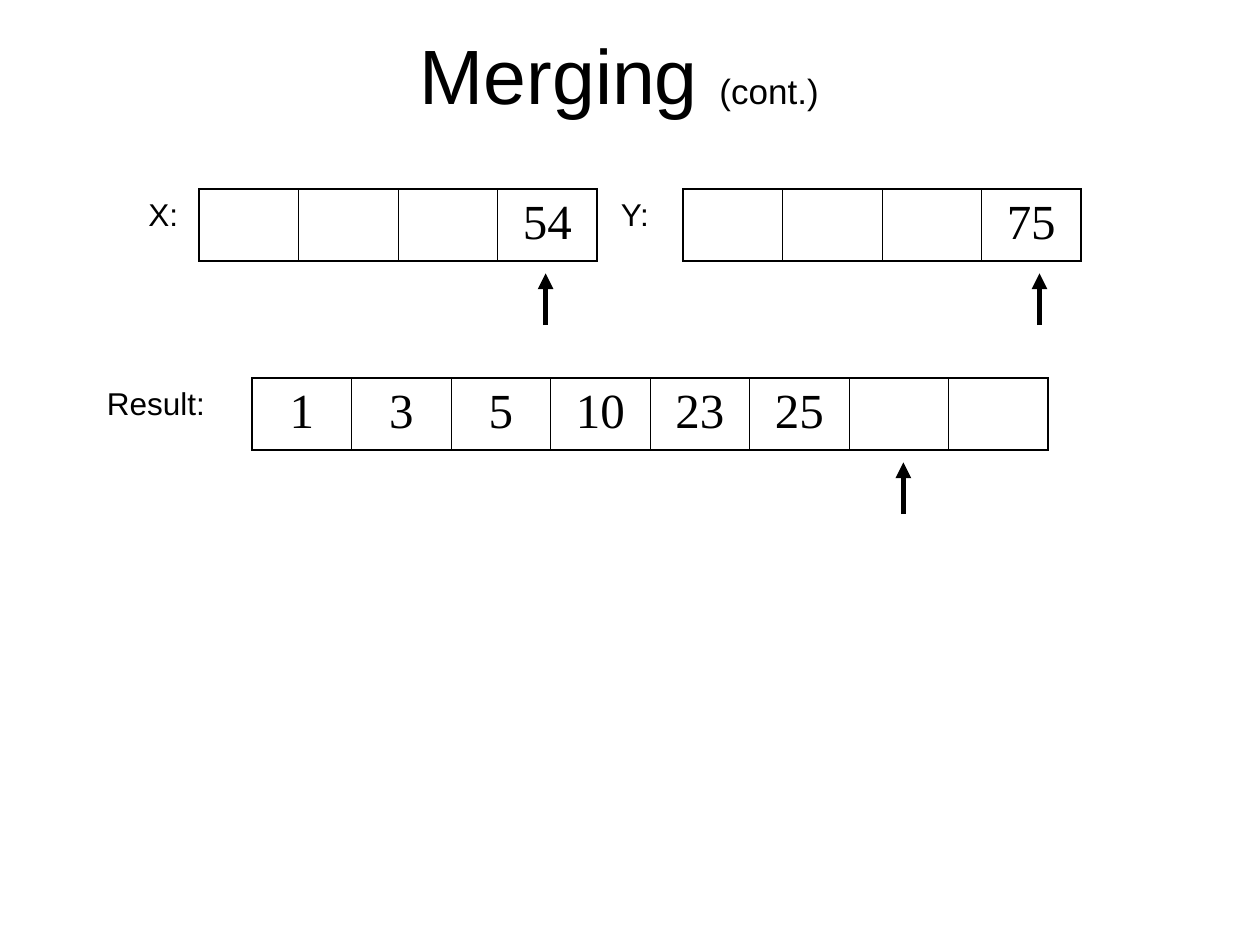
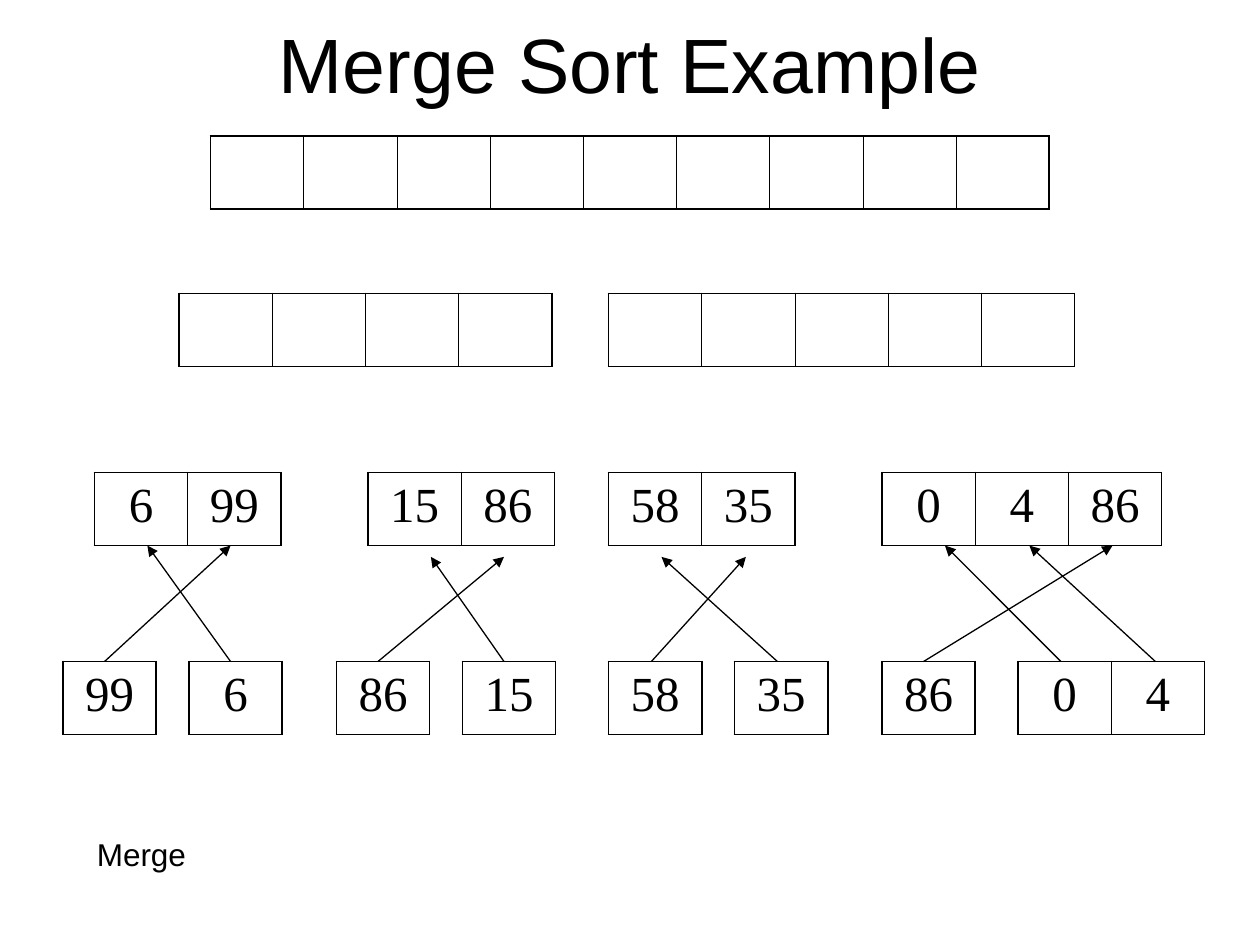
from lxml.etree import SubElement
from pptx import Presentation
from pptx.dml.color import RGBColor
from pptx.enum.shapes import MSO_CONNECTOR
from pptx.enum.text import MSO_ANCHOR, MSO_AUTO_SIZE, PP_ALIGN
from pptx.oxml.ns import qn
from pptx.util import Inches, Pt

INK = "000000"
LABEL_FONT, NUMBER_FONT = "Arial", "Times New Roman"
OUTER_LINE, INNER_LINE = 1.08, 0.45
TITLE_ONLY = 5

# Arrays: left, top, values. Labels: text, left, top, width.
# Arrows: start and end points in inches.
MERGING = {
    "title": [("Merging ", 44), ("(cont.)", 20), (" ", 44)],
    "title_box": (0.75, 0.17, 8.5, 0.83),
    "cell": (0.79, 0.57),
    "arrays": [
        (1.58, 1.5, ["", "", "", "54"]),
        (5.42, 1.5, ["", "", "", "75"]),
        (2, 3, ["1", "3", "5", "10", "23", "25", "", ""]),
    ],
    "labels": [("X:", 1.08, 1.5, 0.58), ("Y:", 4.83, 1.5, 0.58), ("Result:", 0.75, 3, 1.17)],
    "arrow_width": 3,
    "arrows": [((x, y + 0.41), (x, y)) for x, y in [(4.33, 2.17), (8.25, 2.17), (7.17, 3.67)]],
}

SINGLES_TOP, PAIRS_TOP = 5.25, 3.75
# Each merge: height of the arrow tips, then (start x, end x) of its arrows.
MERGES = [
    (4.33, [(0.83, 1.83), (1.83, 1.17)]),
    (4.42, [(3, 4), (4, 3.42)]),
    (4.42, [(5.17, 5.92), (6.17, 5.25)]),
    (4.33, [(7.33, 8.83), (8.42, 7.5), (9.17, 8.17)]),
]
PAIRS = [(0.75, ["6", "99"]), (2.92, ["15", "86"]), (4.83, ["58", "35"]), (7, ["0", "4", "86"])]
SINGLES = [
    (0.5, ["99"]), (1.5, ["6"]), (2.67, ["86"]), (3.67, ["15"]),
    (4.83, ["58"]), (5.83, ["35"]), (7, ["86"]), (8.08, ["0", "4"]),
]

SORT_EXAMPLE = {
    "title": [("Merge Sort Example", 44)],
    "title_box": (0.75, 0, 8.5, 1),
    "cell": (0.74, 0.58),
    "arrays": [
        (1.67, 1.08, [""] * 9),
        (1.42, 2.33, [""] * 4),
        (4.83, 2.33, [""] * 5),
        *[(left, PAIRS_TOP, values) for left, values in PAIRS],
        *[(left, SINGLES_TOP, values) for left, values in SINGLES],
    ],
    "labels": [("Merge", 0.67, 6.58, 5.08)],
    "arrow_width": 0.75,
    "arrows": [((start, SINGLES_TOP), (end, tip)) for tip, pairs in MERGES for start, end in pairs],
}


def color(value):
    return RGBColor.from_string(value)


def add_text(para, text, size=18, font=LABEL_FONT, align=PP_ALIGN.LEFT):
    para.alignment = align
    span = para.add_run()
    span.text = text
    span.font.size = Pt(size)
    span.font.name = font
    span.font.color.rgb = color(INK)


def set_title(page, spans, box):
    title = page.shapes.title
    title.left, title.top, title.width, title.height = map(Inches, box)
    frame = title.text_frame
    frame.auto_size = MSO_AUTO_SIZE.NONE
    frame.vertical_anchor = MSO_ANCHOR.MIDDLE
    for text, size in spans:
        add_text(frame.paragraphs[0], text, size=size, align=PP_ALIGN.CENTER)


def add_border(cell, side, width):
    properties = cell._tc.get_or_add_tcPr()
    line = SubElement(properties, qn(f"a:ln{side}"), w=str(Pt(width)))
    fill = SubElement(line, qn("a:solidFill"))
    SubElement(fill, qn("a:srgbClr"), val=INK)


def add_array(page, left, top, values, cell_size):
    """Draw a one-row table with a heavier outline than its inner lines."""
    width, height = cell_size
    count = len(values)
    frame = page.shapes.add_table(
        1, count, Inches(left), Inches(top), Inches(width * count), Inches(height))
    table = frame.table
    table.first_row = table.horz_banding = False
    for index, value in enumerate(values):
        table.columns[index].width = Inches(width)
        cell = table.cell(0, index)
        add_border(cell, "L", OUTER_LINE if index == 0 else INNER_LINE)
        add_border(cell, "R", OUTER_LINE if index == count - 1 else INNER_LINE)
        add_border(cell, "T", OUTER_LINE)
        add_border(cell, "B", OUTER_LINE)
        cell.fill.background()
        if value:
            add_text(cell.text_frame.paragraphs[0], value, size=28,
                     font=NUMBER_FONT, align=PP_ALIGN.CENTER)


def add_label(page, text, left, top, width):
    box = page.shapes.add_textbox(Inches(left), Inches(top), Inches(width), Inches(0.4))
    box.text_frame.word_wrap = True
    add_text(box.text_frame.paragraphs[0], text)


def add_arrow(page, start, end, width):
    points = [Inches(value) for value in (*start, *end)]
    arrow = page.shapes.add_connector(MSO_CONNECTOR.STRAIGHT, *points)
    arrow.line.color.rgb = color(INK)
    arrow.line.width = Pt(width)
    SubElement(arrow.line._get_or_add_ln(), qn("a:tailEnd"), type="triangle")
    SubElement(arrow._element.spPr, qn("a:effectLst"))


def add_page(deck, content):
    page = deck.slides.add_slide(deck.slide_layouts[TITLE_ONLY])
    set_title(page, content["title"], content["title_box"])
    for left, top, values in content["arrays"]:
        add_array(page, left, top, values, content["cell"])
    for label in content["labels"]:
        add_label(page, *label)
    for start, end in content["arrows"]:
        add_arrow(page, start, end, content["arrow_width"])


def main():
    deck = Presentation()
    deck.slide_width, deck.slide_height = Inches(10), Inches(7.5)
    for content in (MERGING, SORT_EXAMPLE):
        add_page(deck, content)
    deck.save("out.pptx")


if __name__ == "__main__":
    main()
